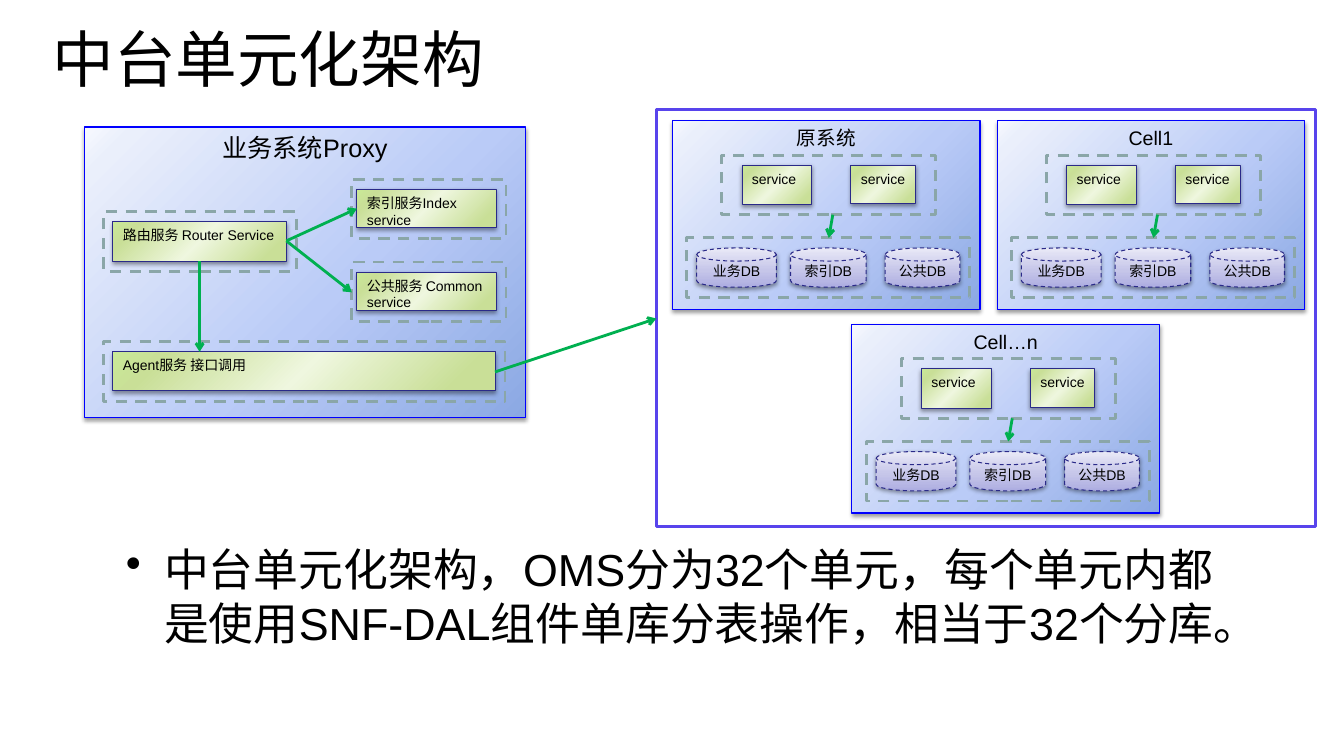
import pptx
import pptx.util
import pptx.dml.color
import pptx.enum.dml
import pptx.enum.shapes
import pptx.enum.text
import pptx.oxml
import pptx.oxml.ns
from dataclasses import dataclass

# Content; boxes are (left, top, width, height) in grid units, 0.1 inch each
TITLE = ("中台单元化架构", (4.2, 1.6, 120, 12.5))
SUMMARY = ("中台单元化架构，OMS分为32个单元，每个单元内都是使用SNF-DAL组件单库分表操作，相当于32个分库。",
           (11.5, 53.3, 114.2, 19.6))
PROXY = ("业务系统Proxy", (8.4, 12.6, 43.7, 28.8))
# Text, box, left padding of the dashed frame
PROXY_SERVICES = [
    ("路由服务 Router Service", (11.2, 22, 17.2, 3.9), 0.9),
    ("索引服务Index service", (35.4, 18.8, 13.8, 3.8), 0.5),
    ("公共服务 Common service", (35.4, 27, 13.8, 3.8), 0.5),
    ("Agent服务 接口调用", (11.2, 34.9, 37.9, 3.8), 0.9),
]
CELL_FRAME = (65.1, 10.9, 65.4, 41.3)
CELL_SIZE = (30.5, 18.7)
CELLS = [("原系统", (66.7, 12)), ("Cell1", (98.9, 12)), ("Cell…n", (84.5, 32.2))]
# Offsets inside each cell
CELL_SERVICES = [("service", (6.9, 4.4, 6.9, 3.9)), ("service", (17.7, 4.4, 6.4, 3.8))]
CELL_DATABASES = [("业务DB", (2.4, 12.6, 7.9, 3.9)), ("索引DB", (11.7, 12.6, 7.5, 3.9)),
                  ("公共DB", (21.1, 12.6, 7.4, 3.9))]
CELL_ARROW = ((15.9, 9.3), (15.5, 11.6))
ARROWS = [((49.1, 36.9), (65.1, 31.6)), ((28.4, 23.9), (35.4, 20.7)),
          ((28.4, 23.9), (34.9, 29)), ((19.8, 25.9), (19.8, 34.9))]


@dataclass(frozen=True)
class Theme:
    font: str = "Arial"
    text: str = "000000"
    panel_line: str = "0000FF"
    part_line: str = "2A2A89"
    dashed_line: str = "8AA6A8"
    frame_line: str = "5844EC"
    arrow: str = "00B050"
    title_size: int = 44
    summary_size: int = 32
    proxy_size: int = 18
    cell_size: int = 14
    part_size: int = 10
    thin: float = 0.75
    thick: float = 2
    panel_fill: tuple = ((0, "8BA8E3"), (43, "BACBF7"), (93, "EAEFFB"), (100, "F7F9FF"))
    service_fill: tuple = ((11, "C9DF97"), (50, "EFF7DF"), (87, "C9DF97"), (100, "C9E997"))
    database_fill: tuple = ((0, "ADADE1"), (43, "C6C6E9"), (100, "E9E9F7"))


THEME = Theme()
SHAPES = pptx.enum.shapes.MSO_SHAPE
ALIGN = pptx.enum.text.PP_ALIGN
ANCHOR = pptx.enum.text.MSO_ANCHOR
NAMESPACE = pptx.oxml.ns.nsdecls("a")
CORNER = '<a:path path="circle"><a:fillToRect l="100000" t="100000"/></a:path>'
UPWARD = '<a:lin ang="16200000" scaled="0"/>'
SHADOW = (f'<a:effectLst {NAMESPACE}><a:outerShdw blurRad="39370" dist="20320" dir="5400000" '
          'rotWithShape="0"><a:srgbClr val="000000"><a:alpha val="38000"/></a:srgbClr>'
          '</a:outerShdw></a:effectLst>')


def grid(*values):
    return [pptx.util.Inches(value / 10) for value in values]


def shifted(items, origin):
    return [(text, (left + origin[0], top + origin[1], width, height))
            for text, (left, top, width, height) in items]


def color(value):
    return pptx.dml.color.RGBColor.from_string(value)


def write_text(frame, text, size, align=ALIGN.LEFT, anchor=ANCHOR.TOP, bullet=False):
    frame.word_wrap = True
    frame.auto_size = pptx.enum.text.MSO_AUTO_SIZE.NONE
    frame.vertical_anchor = anchor
    paragraph = frame.paragraphs[0]
    paragraph.alignment = align
    if bullet:
        properties = paragraph._p.get_or_add_pPr()
        properties.set("marL", str(pptx.util.Inches(0.38)))
        properties.set("indent", str(-pptx.util.Inches(0.38)))
        properties.append(pptx.oxml.parse_xml(f'<a:buChar {NAMESPACE} char="•"/>'))
    run = paragraph.add_run()
    run.text = text
    run.font.name = THEME.font
    run.font.size = pptx.util.Pt(size)
    run.font.color.rgb = color(THEME.text)


def add_box(slide, box, line, weight=THEME.thin, kind=SHAPES.RECTANGLE, dashed=False,
            stops=None, direction=CORNER):
    shape = slide.shapes.add_shape(kind, *grid(*box))
    shape.shadow.inherit = False
    shape.fill.background()
    shape.line.color.rgb = color(line)
    shape.line.width = pptx.util.Pt(weight)
    if dashed:
        shape.line.dash_style = pptx.enum.dml.MSO_LINE.DASH
    if stops:
        properties = shape._element.spPr
        marks = "".join(f'<a:gs pos="{place * 1000}"><a:srgbClr val="{value}"/></a:gs>'
                        for place, value in stops)
        gradient = pptx.oxml.parse_xml(f'<a:gradFill {NAMESPACE} rotWithShape="1">'
                                       f'<a:gsLst>{marks}</a:gsLst>{direction}</a:gradFill>')
        for tag, element in (("a:noFill", gradient),
                             ("a:effectLst", pptx.oxml.parse_xml(SHADOW))):
            properties.replace(properties.find(pptx.oxml.ns.qn(tag)), element)
    return shape


def add_panel(slide, text, box, size):
    panel = add_box(slide, box, THEME.panel_line, stops=THEME.panel_fill)
    write_text(panel.text_frame, text, size, align=ALIGN.CENTER)


def add_service(slide, text, box):
    service = add_box(slide, box, THEME.part_line, stops=THEME.service_fill)
    write_text(service.text_frame, text, THEME.part_size)


def add_database(slide, text, box):
    database = add_box(slide, box, THEME.part_line, kind=SHAPES.FLOWCHART_MAGNETIC_DISK,
                       dashed=True, stops=THEME.database_fill, direction=UPWARD)
    write_text(database.text_frame, text, THEME.part_size, align=ALIGN.CENTER,
               anchor=ANCHOR.MIDDLE)


def add_dashed_group(slide, items, add_part, left_pad=1, right_pad=1):
    boxes = [box for _, box in items]
    left = boxes[0][0] - left_pad
    right = boxes[-1][0] + boxes[-1][2] + right_pad
    frame = (left, boxes[0][1] - 1, right - left, 5.9)
    add_box(slide, frame, THEME.dashed_line, THEME.thick, dashed=True)
    for text, box in items:
        add_part(slide, text, box)


def add_arrow(slide, start, end):
    arrow = slide.shapes.add_connector(pptx.enum.shapes.MSO_CONNECTOR.STRAIGHT,
                                       *grid(*start, *end))
    arrow.line.color.rgb = color(THEME.arrow)
    arrow.line.width = pptx.util.Pt(THEME.thick)
    arrow.line._get_or_add_ln().append(
        pptx.oxml.parse_xml(f'<a:tailEnd {NAMESPACE} type="arrow"/>'))
    arrow._element.spPr.append(pptx.oxml.parse_xml(f"<a:effectLst {NAMESPACE}/>"))


def main():
    presentation = pptx.Presentation()
    presentation.slide_width, presentation.slide_height = grid(133.3, 75)
    slide = presentation.slides.add_slide(presentation.slide_layouts[5])

    # Title and summary
    title = slide.shapes.title
    title.left, title.top, title.width, title.height = grid(*TITLE[1])
    write_text(title.text_frame, TITLE[0], THEME.title_size)
    summary = slide.shapes.add_textbox(*grid(*SUMMARY[1]))
    write_text(summary.text_frame, SUMMARY[0], THEME.summary_size, bullet=True)

    # Proxy system
    add_panel(slide, *PROXY, THEME.proxy_size)
    for text, box, left_pad in PROXY_SERVICES:
        add_dashed_group(slide, [(text, box)], add_service, left_pad)

    # Cells
    add_box(slide, CELL_FRAME, THEME.frame_line, THEME.thick)
    for name, origin in CELLS:
        add_panel(slide, name, origin + CELL_SIZE, THEME.cell_size)
        add_dashed_group(slide, shifted(CELL_SERVICES, origin), add_service, 2, 2)
        add_dashed_group(slide, shifted(CELL_DATABASES, origin), add_database)
        add_arrow(slide, *[(x + origin[0], y + origin[1]) for x, y in CELL_ARROW])

    # Calls between services
    for start, end in ARROWS:
        add_arrow(slide, start, end)
    presentation.save("out.pptx")


if __name__ == "__main__":
    main()
